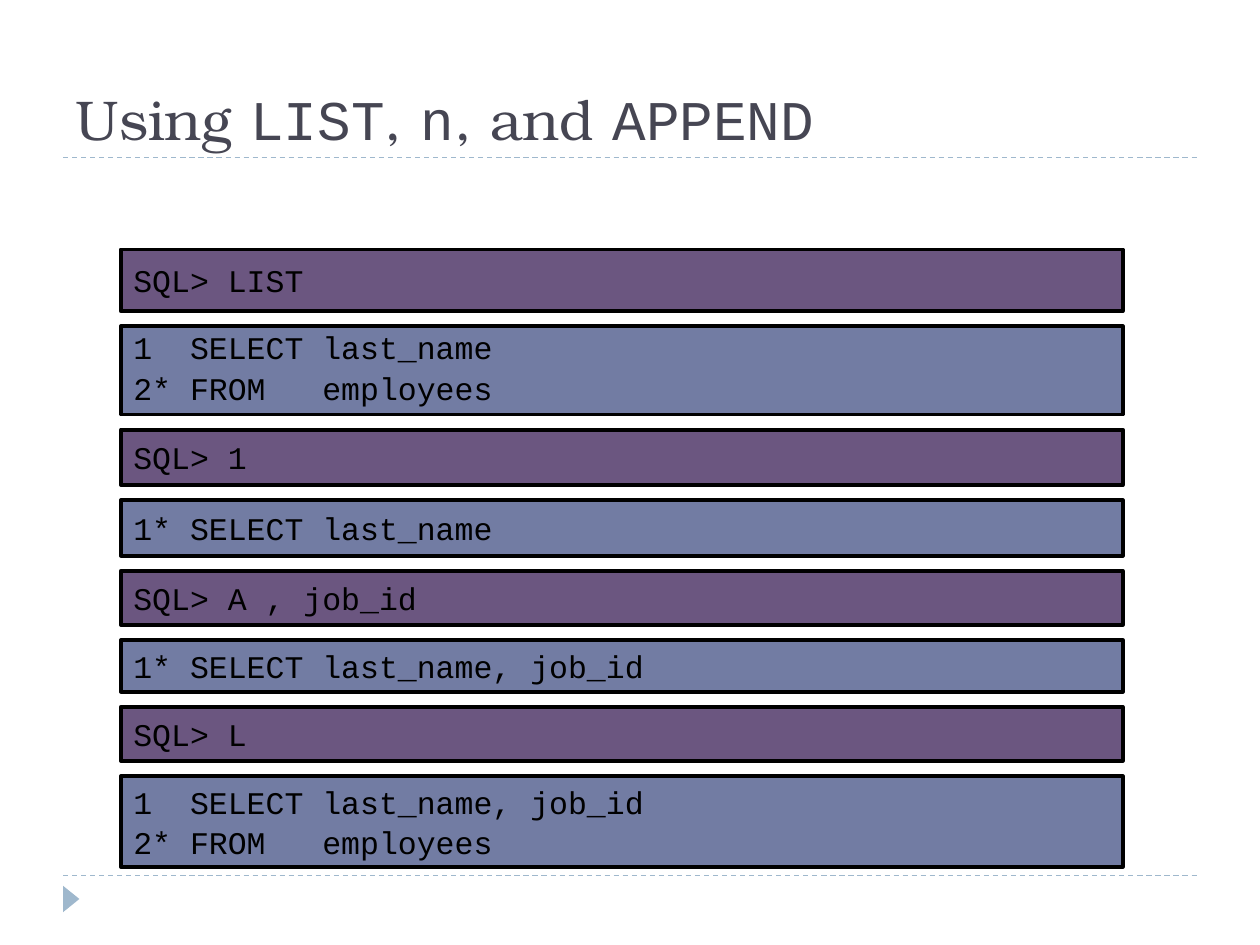
import pptx
import pptx.dml.color
import pptx.enum.dml
import pptx.enum.shapes
import pptx.enum.text
import pptx.oxml.ns
import pptx.util
from pptx.util import Inches

RGB = pptx.dml.color.RGBColor.from_string
ANCHOR = pptx.enum.text.MSO_ANCHOR
SHAPE = pptx.enum.shapes.MSO_SHAPE

THEME = {
    "title": {"name": "TeX Gyre Bonum", "size": pptx.util.Pt(32)},
    "title_code": {"name": "Courier New", "size": pptx.util.Pt(32)},
    "code": {"name": "Courier New", "size": pptx.util.Pt(18)},
    "title_color": RGB("464653"),
    "ink": RGB("000000"),
    "accent": RGB("9FB8CD"),
    "command": RGB("6B5680"),
    "output": RGB("727CA3"),
}


def add_span(para, text, style, color):
    span = para.add_run()
    span.text = text
    for attribute, value in THEME[style].items():
        setattr(span.font, attribute, value)
    span.font.color.rgb = THEME[color]


def set_frame(frame, **values):
    margins = {"margin_left": Inches(0.1), "margin_right": Inches(0.1),
               "margin_top": Inches(0.05), "margin_bottom": Inches(0.05)}
    for attribute, value in {**margins, **values}.items():
        setattr(frame, attribute, value)


deck = pptx.Presentation()
deck.slide_width, deck.slide_height = Inches(10), Inches(7.5)
page = deck.slides.add_slide(deck.slide_layouts[6])

# Dashed rules above and below the content
for y in (6.95, 1.25):
    rule = page.shapes.add_connector(
        pptx.enum.shapes.MSO_CONNECTOR.STRAIGHT,
        Inches(0.5), Inches(y), Inches(9.5), Inches(y))
    rule.line.color.rgb = THEME["accent"]
    rule.line.width = pptx.util.Pt(0.75)
    rule.line.dash_style = pptx.enum.dml.MSO_LINE.DASH
    properties = rule._element.spPr
    properties.append(properties.makeelement(pptx.oxml.ns.qn("a:effectLst"), {}))

# Footer marker
marker = page.shapes.add_shape(
    SHAPE.ISOSCELES_TRIANGLE, Inches(0.46), Inches(7.07), Inches(0.21), Inches(0.13))
marker.rotation = 90
marker.shadow.inherit = False
marker.fill.solid()
marker.fill.fore_color.rgb = THEME["accent"]
marker.line.fill.background()

# Title, alternating prose and code
title = page.shapes.add_textbox(Inches(0.5), Inches(0.25), Inches(9), Inches(1))
set_frame(title.text_frame, word_wrap=True, vertical_anchor=ANCHOR.BOTTOM)
parts = ["Using ", "LIST", ", ", "n", ", and ", "APPEND"]
for index, part in enumerate(parts):
    style = "title_code" if index % 2 else "title"
    add_span(title.text_frame.paragraphs[0], part, style, "title_color")

# Session boxes, stacked with an equal gap: kind, height, anchor, lines
session = [
    ("command", 0.49, ANCHOR.MIDDLE, ["SQL> LIST"]),
    ("output", 0.7, ANCHOR.TOP, ["1  SELECT last_name", "2* FROM   employees"]),
    ("command", 0.44, ANCHOR.MIDDLE, ["SQL> 1"]),
    ("output", 0.44, ANCHOR.MIDDLE, ["1* SELECT last_name"]),
    ("command", 0.43, ANCHOR.MIDDLE, ["SQL> A , job_id"]),
    ("output", 0.41, ANCHOR.MIDDLE, ["1* SELECT last_name, job_id"]),
    ("command", 0.43, ANCHOR.MIDDLE, ["SQL> L"]),
    ("output", 0.72, ANCHOR.MIDDLE,
     ["1  SELECT last_name, job_id", "2* FROM   employees"]),
]
top, gap = 1.98, 0.12
for kind, height, anchor, lines in session:
    box = page.shapes.add_shape(
        SHAPE.RECTANGLE, Inches(0.96), Inches(top), Inches(7.95), Inches(height))
    box.shadow.inherit = False
    box.fill.solid()
    box.fill.fore_color.rgb = THEME[kind]
    box.line.color.rgb = THEME["ink"]
    box.line.width = pptx.util.Pt(2.25)
    frame = box.text_frame
    set_frame(frame, word_wrap=True, vertical_anchor=anchor)
    for index, line in enumerate(lines):
        para = frame.add_paragraph() if index else frame.paragraphs[0]
        para.alignment = pptx.enum.text.PP_ALIGN.LEFT
        para.space_before = pptx.util.Pt(1.3 if index else 0)
        if anchor == ANCHOR.TOP and index == 0:
            para.line_spacing = 0.9
        add_span(para, line, "code", "ink")
    top += height + gap

deck.save("out.pptx")
